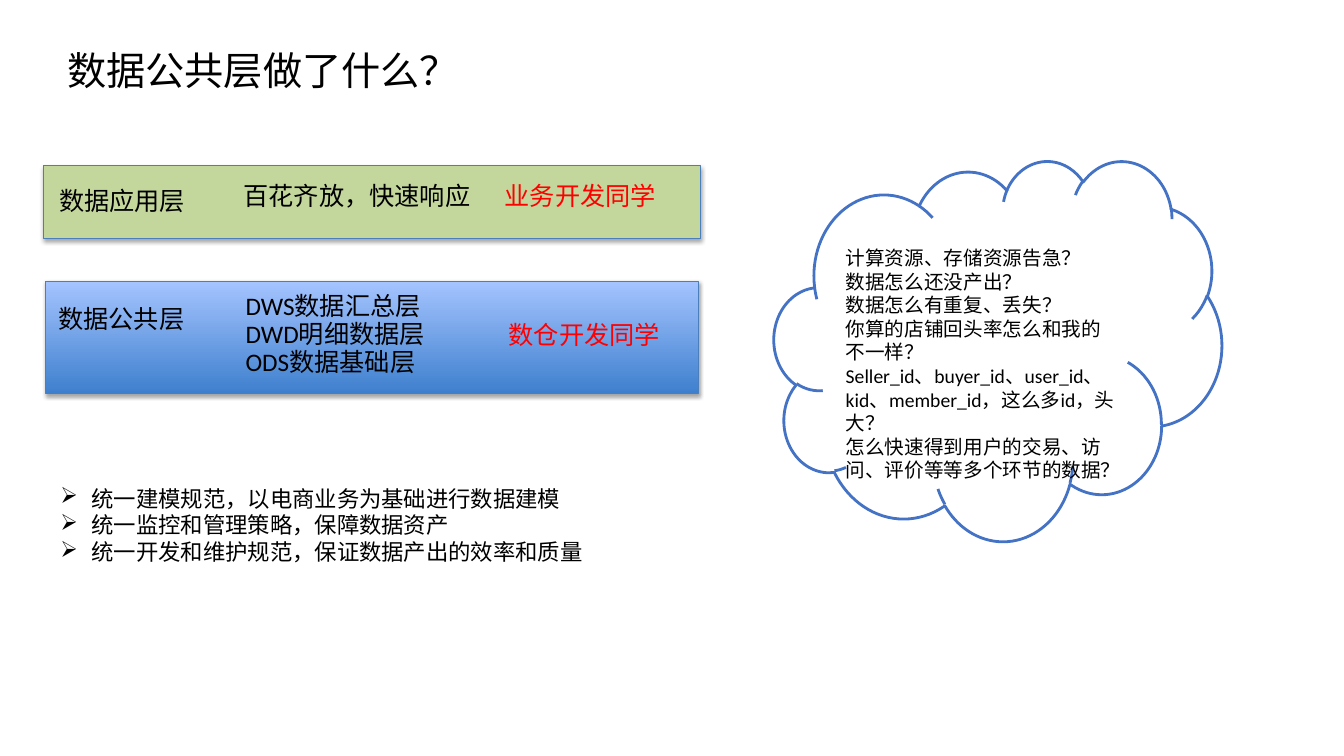
"""Build the slide on what the common data layer does."""
import pptx
import pptx.dml.color
import pptx.enum.lang
import pptx.enum.shapes
import pptx.enum.text
import pptx.oxml
import pptx.util
from pptx.util import Cm

COLOURS = {
    "text": "000000", "owner": "FF0000", "application": "C3D69B",
    "common_dark": "3F80CE", "common_light": "A4C4FF", "layer_line": "4B7EBC",
    "cloud": "FFFFFF", "cloud_line": "4472C4",
}
NAMESPACE = 'xmlns:a="http://schemas.openxmlformats.org/drawingml/2006/main"'
SHADOW = (
    f'<a:effectLst {NAMESPACE}><a:outerShdw blurRad="39370" dist="22860" dir="5400000" '
    'rotWithShape="0"><a:srgbClr val="000000"><a:alpha val="35000"/></a:srgbClr>'
    '</a:outerShdw></a:effectLst>'
)


def colour(name):
    return pptx.dml.color.RGBColor.from_string(COLOURS[name])


class SlideBuilder:
    """Draws styled elements on the current slide."""

    latin_font = "Calibri"
    chinese_font = "Noto Sans CJK SC"

    def __init__(self, slide):
        self.slide = slide

    def add_span(self, para, text, size, colour_name="text", font=None):
        span = para.add_run()
        span.text = text
        span.font.size = pptx.util.Pt(size)
        span.font.color.rgb = colour(colour_name)
        span.font.name = font or self.latin_font
        span.font.language_id = pptx.enum.lang.MSO_LANGUAGE_ID.SIMPLIFIED_CHINESE
        properties = span.font._element
        properties.append(pptx.oxml.parse_xml(
            f'<a:ea {NAMESPACE} typeface="{self.chinese_font}"/>'))

    def add_paragraphs(self, frame, lines, size, colour_name="text", font=None):
        frame.word_wrap = True
        for index, line in enumerate(lines):
            para = frame.add_paragraph() if index else frame.paragraphs[0]
            para.alignment = pptx.enum.text.PP_ALIGN.LEFT
            self.add_span(para, line, size, colour_name, font)

    def text(self, left, top, width, height, lines, size=18, colour_name="text", font=None):
        box = self.slide.shapes.add_textbox(Cm(left), Cm(top), Cm(width), Cm(height))
        self.add_paragraphs(box.text_frame, lines, size, colour_name, font)
        return box.text_frame

    def title(self, left, top, width, height, text):
        frame = self.text(left, top, width, height, [text], 28, font=self.chinese_font)
        frame.vertical_anchor = pptx.enum.text.MSO_ANCHOR.MIDDLE
        frame.paragraphs[0].line_spacing = 0.9

    def bullets(self, left, top, width, height, lines, size):
        frame = self.text(left, top, width, height, lines, size)
        for para in frame.paragraphs:
            properties = para._p.get_or_add_pPr()
            properties.set("marL", str(Cm(0.79)))
            properties.set("indent", str(-Cm(0.79)))
            properties.append(pptx.oxml.parse_xml(f'<a:buChar {NAMESPACE} char="➢"/>'))

    def tabbed(self, left, top, width, height, tab, label, owner):
        frame = self.text(left, top, width, height, [label])
        para = frame.paragraphs[0]
        para._p.get_or_add_pPr().append(pptx.oxml.parse_xml(
            f'<a:tabLst {NAMESPACE}><a:tab pos="{Cm(tab)}" algn="l"/></a:tabLst>'))
        self.add_span(para, "\t" + owner, 18, "owner")

    def shape(self, kind, left, top, width, height, line_name, line_width):
        shape = self.slide.shapes.add_shape(kind, Cm(left), Cm(top), Cm(width), Cm(height))
        shape.shadow.inherit = False
        shape.line.color.rgb = colour(line_name)
        shape.line.width = pptx.util.Pt(line_width)
        return shape

    def layer(self, left, top, width, height, fills):
        kind = pptx.enum.shapes.MSO_SHAPE.RECTANGLE
        layer = self.shape(kind, left, top, width, height, "layer_line", 0.75)
        if len(fills) == 1:
            layer.fill.solid()
            layer.fill.fore_color.rgb = colour(fills[0])
        else:
            layer.fill.gradient()
            layer.fill.gradient_angle = 90
            for stop, name in zip(layer.fill.gradient_stops, fills):
                stop.color.rgb = colour(name)
        properties = layer._element.spPr
        effects = properties.find(pptx.oxml.ns.qn("a:effectLst"))
        properties.replace(effects, pptx.oxml.parse_xml(SHADOW))

    def cloud(self, left, top, width, height, lines, size):
        kind = pptx.enum.shapes.MSO_SHAPE.CLOUD
        cloud = self.shape(kind, left, top, width, height, "cloud_line", 2)
        cloud.fill.solid()
        cloud.fill.fore_color.rgb = colour("cloud")
        frame = cloud.text_frame
        frame.vertical_anchor = pptx.enum.text.MSO_ANCHOR.TOP
        frame.margin_top = Cm(0.72)
        self.add_paragraphs(frame, lines, size)


def main():
    deck = pptx.Presentation()
    deck.slide_width, deck.slide_height = Cm(33.87), Cm(19.05)
    page = SlideBuilder(deck.slides.add_slide(deck.slide_layouts[6]))

    page.title(1.45, 1.02, 14.02, 1.65, "数据公共层做了什么？")

    page.layer(1.14, 7.09, 16.46, 2.82, ["common_dark", "common_light"])
    page.text(1.22, 7.52, 5.33, 0.74, ["数据公共层"])
    for index, name in enumerate(["DWS数据汇总层", "DWD明细数据层", "ODS数据基础层"]):
        page.text(5.94, 7.19 + 0.7 * index, 8.71, 0.74, [name])

    page.layer(1.09, 4.17, 16.56, 1.83, ["application"])
    page.text(1.24, 4.55, 4.93, 1.02, ["数据应用层"])
    page.tabbed(5.89, 4.42, 11.35, 1.02, 6.58, "百花齐放，快速响应", "业务开发同学")

    page.bullets(1.27, 12.09, 13.74, 2.31, [
        "统一建模规范，以电商业务为基础进行数据建模",
        "统一监控和管理策略，保障数据资产",
        "统一开发和维护规范，保证数据产出的效率和质量",
    ], 16)
    page.cloud(19.51, 4.04, 11.28, 9.58, [
        "计算资源、存储资源告急？",
        "数据怎么还没产出？",
        "数据怎么有重复、丢失？",
        "你算的店铺回头率怎么和我的不一样？",
        "Seller_id、buyer_id、user_id、kid、member_id，这么多id，头大？",
        "怎么快速得到用户的交易、访问、评价等等多个环节的数据？",
    ], 14)
    page.text(12.57, 7.92, 4.9, 1.02, ["数仓开发同学"], colour_name="owner")

    deck.save("out.pptx")


if __name__ == "__main__":
    main()
